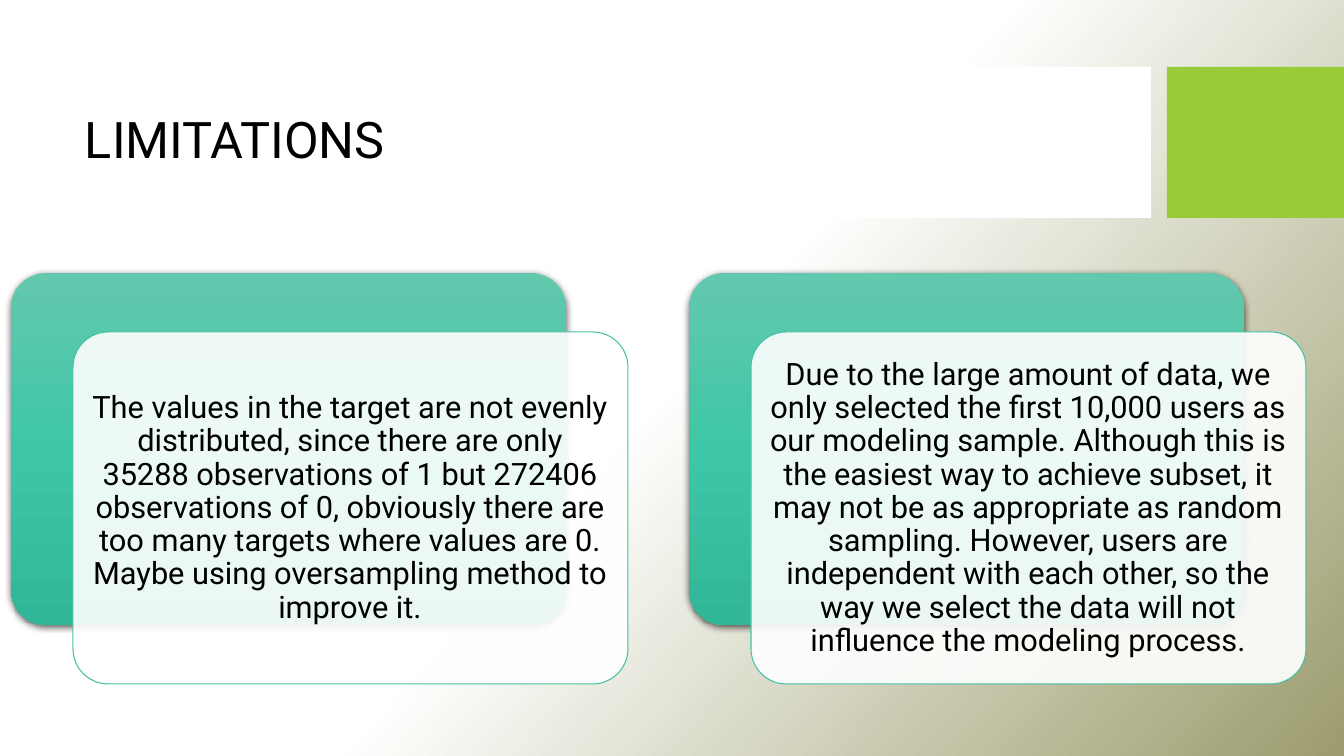
from copy import deepcopy

from lxml.etree import SubElement
from pptx import Presentation
from pptx.dml.color import RGBColor
from pptx.enum.shapes import MSO_SHAPE as Shape
from pptx.enum.text import MSO_ANCHOR as Anchor, PP_ALIGN as Align
from pptx.oxml.ns import qn
from pptx.util import Emu, Pt

PX = 12192000 / 1344  # EMU in one px
WHITE = RGBColor(0xFF, 0xFF, 0xFF)
BLACK = RGBColor(0x00, 0x00, 0x00)
OLIVE = RGBColor(0x9C, 0x9C, 0x6E)
LIME = RGBColor(0x99, 0xCB, 0x38)
TEAL_LIGHT = RGBColor(0x63, 0xC8, 0xAD)
TEAL = RGBColor(0x3E, 0xC7, 0xA6)
TEAL_DARK = RGBColor(0x31, 0xB7, 0x97)
TEAL_EDGE = RGBColor(0x44, 0xC1, 0xA3)

LIMITATIONS = [
    "The values in the target are not evenly distributed, since there are only "
    "35288 observations of 1 but 272406 observations of 0, obviously there are "
    "too many targets where values are 0. Maybe using oversampling method to "
    "improve it.",
    "Due to the large amount of data, we only selected the first 10,000 users as "
    "our modeling sample. Although this is the easiest way to achieve subset, it "
    "may not be as appropriate as random sampling. However, users are independent "
    "with each other, so the way we select the data will not influence the "
    "modeling process.",
]


def set_gradient(fill, owner, colors, angle):
    """Spread the colors evenly along a clockwise angle; owner holds the fill's XML."""
    fill.gradient()
    fill.gradient_angle = 360 - angle
    stops = owner.find(".//" + qn("a:gsLst"))
    stops.append(deepcopy(stops[0]))
    for index, (stop, color) in enumerate(zip(fill.gradient_stops, colors)):
        stop.position = index / (len(colors) - 1)
        stop.color.rgb = color


def add_text(left, top, width, height, text, size, align):
    box = page.shapes.add_textbox(*[Emu(round(n * PX)) for n in (left, top, width, height)])
    frame = box.text_frame
    frame.word_wrap = True
    frame.vertical_anchor = Anchor.MIDDLE
    para = frame.paragraphs[0]
    para.alignment = align
    para.line_spacing = 0.9
    span = para.add_run()
    span.text = text
    span.font.name = "Roboto"
    span.font.size = Pt(size)
    span.font.color.rgb = BLACK
    return box


deck = Presentation()
deck.slide_width, deck.slide_height = Emu(round(1344 * PX)), Emu(round(756 * PX))
page = deck.slides.add_slide(deck.slide_layouts[6])
set_gradient(page.background.fill, page.element, [WHITE, WHITE, OLIVE], 42)

# Title band
for left, width, color in [(0, 1151, WHITE), (1167, 177, LIME)]:
    band = page.shapes.add_shape(
        Shape.RECTANGLE, *[Emu(round(n * PX)) for n in (left, 67, width, 151)])
    band.shadow.inherit = False
    band.fill.solid()
    band.fill.fore_color.rgb = color
    band.line.fill.background()
add_text(75, 83, 1059, 119, "LIMITATIONS", 36, Align.LEFT)

# Each limitation: a teal panel with a translucent card overlapping it
for index, limitation in enumerate(LIMITATIONS):
    left = 11 + index * 678
    panel, card = [
        page.shapes.add_shape(
            Shape.ROUNDED_RECTANGLE,
            *[Emu(round(n * PX)) for n in (left + dx, 273 + dy, 555, 352)])
        for dx, dy in [(0, 0), (62, 59)]
    ]
    for plate in (panel, card):
        plate.adjustments[0] = 0.1
        plate.shadow.inherit = False

    set_gradient(panel.fill, panel.element, [TEAL_LIGHT, TEAL, TEAL_DARK], 90)
    panel.line.fill.background()
    effects = panel.element.spPr.find(qn("a:effectLst"))
    shadow = SubElement(effects, qn("a:outerShdw"), blurRad=str(Pt(4.5)),
                        dist=str(Pt(1.5)), dir="5400000", rotWithShape="0")
    shade = SubElement(shadow, qn("a:srgbClr"), val=str(BLACK))
    SubElement(shade, qn("a:alpha"), val="63000")

    card.fill.solid()
    card.fill.fore_color.rgb = WHITE
    tint = card.element.spPr.find(qn("a:solidFill") + "/" + qn("a:srgbClr"))
    SubElement(tint, qn("a:alpha"), val="90000")
    card.line.color.rgb = TEAL_EDGE
    card.line.width = Pt(0.75)

    box = add_text(left + 72, 343, 534, 331, limitation, 22, Align.CENTER)
    frame = box.text_frame
    frame.margin_left = frame.margin_right = Emu(round(9 * PX))
    frame.margin_top = frame.margin_bottom = Emu(round(9 * PX))
    frame.paragraphs[0].space_after = Pt(8)

deck.save("out.pptx")
